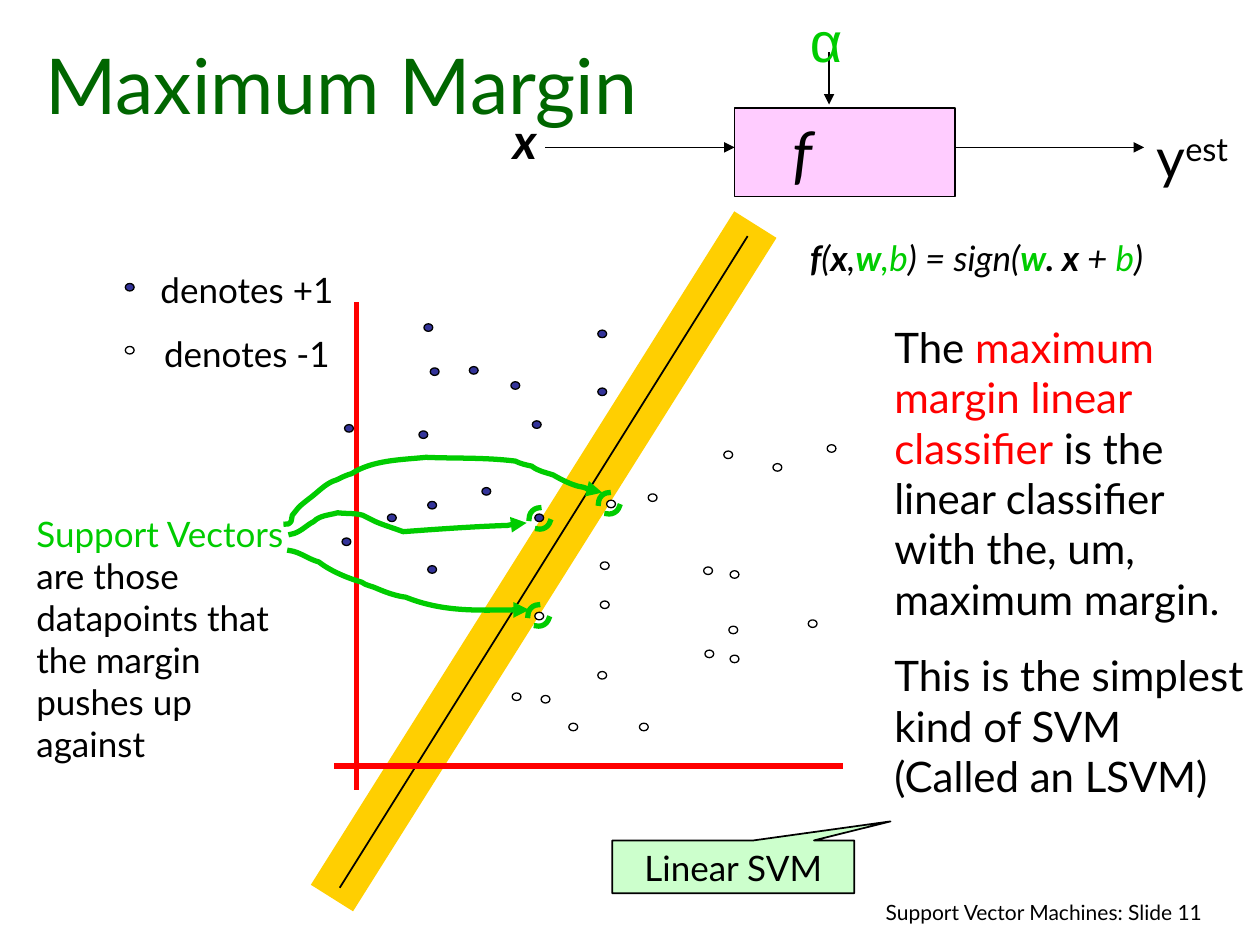
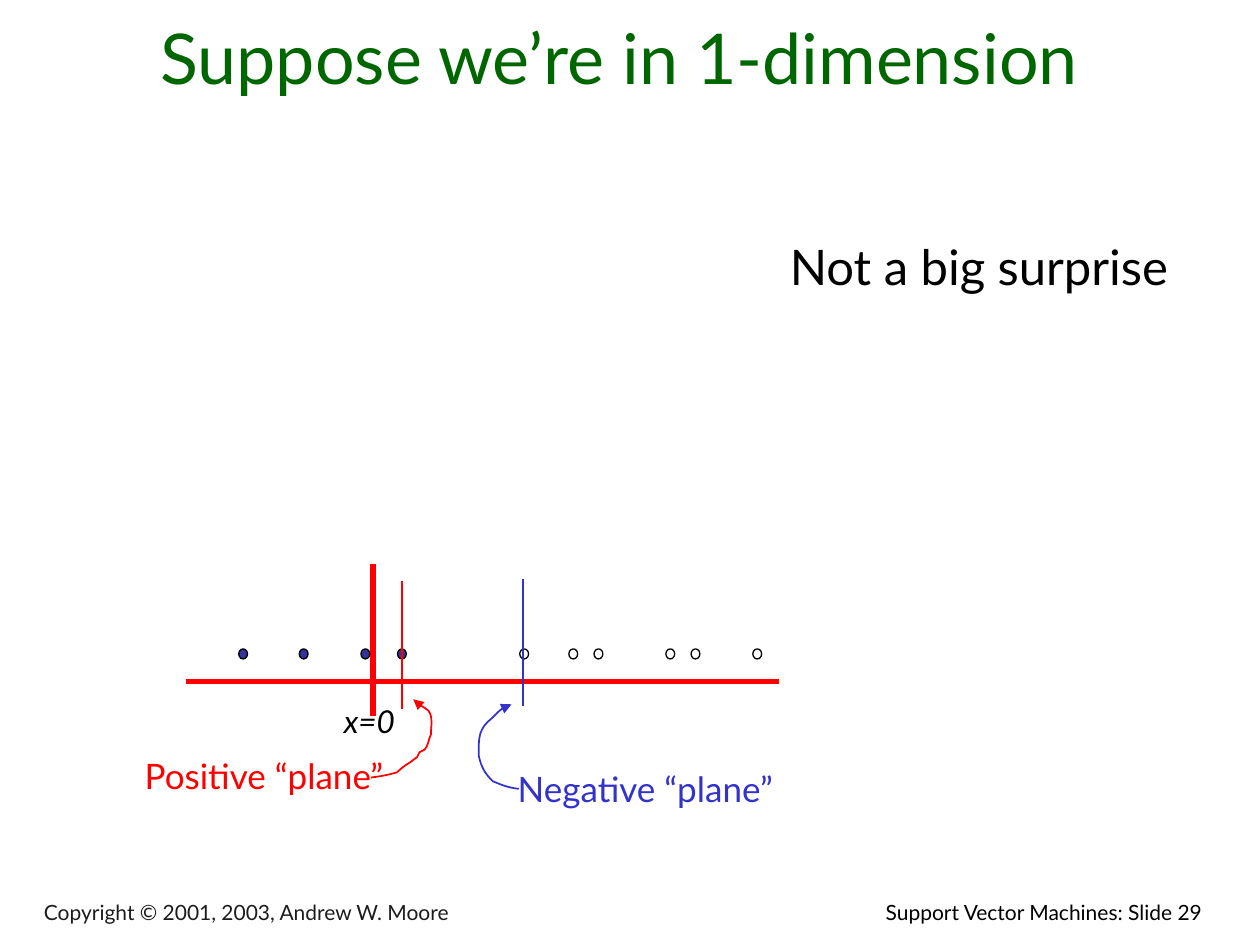
from lxml import etree
from pptx import Presentation
from pptx import util as u
from pptx.dml.color import RGBColor
from pptx.enum import dml, shapes, text
from pptx.oxml.ns import qn

PX = 9144  # EMU per px: the slide is 1000 x 750 px
FONT = "Lato"
BLACK, WHITE, RED, GREEN = "000000", "FFFFFF", "FF0000", "00CC00"
TITLE, NAVY, BLUE, GOLD = "006600", "333399", "3333CC", "FFCF01"
PINK, MINT, GREY = "FFCCFF", "CCFFCC", "1C1C1C"
LEFT, CENTER, RIGHT = text.PP_ALIGN.LEFT, text.PP_ALIGN.CENTER, text.PP_ALIGN.RIGHT
TOP, MIDDLE, BOTTOM = text.MSO_ANCHOR.TOP, text.MSO_ANCHOR.MIDDLE, text.MSO_ANCHOR.BOTTOM

POSITIVES = [(275, 430), (478, 311), (376, 294), (428, 411), (336, 345),
             (345, 295), (343, 401), (426, 337), (343, 452), (478, 265),
             (340, 260), (386, 390), (311, 411), (409, 306), (277, 340)]
NEGATIVES = [(410, 553), (485, 400), (562, 453), (428, 489), (660, 356),
             (582, 500), (518, 395), (645, 495), (455, 577), (583, 456),
             (480, 449), (617, 371), (578, 361), (563, 519), (511, 577),
             (478, 536), (480, 480), (433, 555), (583, 523)]
SUPPORT_VECTORS = [(475, 391), (420, 403), (419, 480)]
# Curves: a start point, then two control points and an end point per segment.
SUPPORT_ARROWS = [
    [(231, 424), (238, 423), (243, 417), (249, 414), (254, 409), (261, 409),
     (268, 407), (277, 408), (281, 407), (288, 409), (288, 409), (298, 414),
     (298, 414), (305, 417), (312, 419), (320, 422), (347, 420), (375, 418),
     (403, 417), (408, 416), (413, 415), (418, 415)],
    [(227, 416), (228, 416), (230, 416), (230, 415), (232, 414), (231, 411),
     (232, 409), (233, 407), (235, 406), (236, 404), (238, 401), (248, 394),
     (249, 393), (255, 388), (260, 383), (267, 381), (271, 379), (275, 377),
     (279, 376), (296, 365), (319, 365), (338, 363), (362, 364), (385, 363),
     (409, 366), (413, 368), (417, 369), (422, 370), (427, 374), (433, 375),
     (439, 377), (446, 381), (452, 384), (459, 386), (465, 387), (472, 391),
     (478, 391)],
    [(230, 437), (238, 438), (245, 444), (253, 446), (262, 453), (276, 459),
     (287, 462), (291, 465), (295, 465), (299, 467), (306, 470), (314, 473),
     (322, 474), (352, 486), (388, 484), (420, 484)],
]
POSITIVE_ARROW = [
    (295, 617), (303, 616), (308, 615), (315, 613), (322, 607), (318, 610),
    (327, 604), (328, 603), (331, 601), (331, 601), (332, 600), (332, 598),
    (333, 597), (334, 596), (336, 596), (337, 595), (340, 592), (340, 587),
    (342, 583), (342, 577), (344, 569), (340, 564), (338, 562), (332, 559),
    (332, 559), (329, 555), (331, 555), (328, 555)]
NEGATIVE_ARROW = [
    (411, 626), (403, 625), (398, 623), (391, 620), (385, 614), (382, 609),
    (380, 600), (380, 589), (379, 581), (387, 573), (391, 570), (397, 562),
    (403, 560), (404, 560), (406, 559), (406, 559)]


def px(*lengths):
    return [u.Emu(round(n * PX)) for n in lengths]


def rgb(code):
    return RGBColor.from_string(code)


def style_line(line, color, width, arrow=False):
    line.color.rgb = rgb(color)
    line.width = u.Pt(width)
    ln = line._get_or_add_ln()
    ln.set("cap", "sq")
    if arrow:
        etree.SubElement(ln, qn("a:tailEnd"), type="triangle")


def write(sp, paragraphs, size, color=BLACK, align=LEFT, anchor=TOP,
          insets=(10, 5, 10, 5), gap=0, italic=False, font=FONT):
    """Fill sp; a paragraph is a string or a list of (text, colour, bold) runs."""
    tf = sp.text_frame
    tf.word_wrap = True
    tf.vertical_anchor = anchor
    (tf.margin_left, tf.margin_top,
     tf.margin_right, tf.margin_bottom) = px(*insets)
    for i, runs in enumerate(paragraphs):
        p = tf.add_paragraph() if i else tf.paragraphs[0]
        p.alignment = align
        p.space_before = u.Pt(gap if i else 0)
        p.font.name, p.font.size = font, u.Pt(size)
        p.font.italic = italic
        p.font.color.rgb = rgb(color)
        if isinstance(runs, str):
            p.add_run().text = runs
            continue
        for words, run_color, bold in runs:
            r = p.add_run()
            r.text = words
            r.font.color.rgb = rgb(run_color)
            r.font.bold = bold


def label(s, box, paragraphs, size, **style):
    sp = s.shapes.add_textbox(*px(*box))
    write(sp, paragraphs, size, **style)
    return sp


def shape(s, kind, box, fill, line=BLACK, width=1):
    sp = s.shapes.add_shape(kind, *px(*box))
    sp.shadow.inherit = False
    if fill:
        sp.fill.solid()
        sp.fill.fore_color.rgb = rgb(fill)
    else:
        sp.fill.background()
    style_line(sp.line, line, width)
    return sp


def line(s, start, end, color=BLACK, width=1, arrow=False):
    cx = s.shapes.add_connector(shapes.MSO_CONNECTOR.STRAIGHT, *px(*start, *end))
    style_line(cx.line, color, width, arrow)
    etree.SubElement(cx._element.spPr, qn("a:effectLst"))


def curved_arrow(s, curve, color, width):
    """Draw a freeform through every third point, then bend its segments."""
    points = [px(*point) for point in curve]
    builder = s.shapes.build_freeform(*points[0])
    builder.add_line_segments(points[3::3], close=False)
    sp = builder.convert_to_shape()
    segments = list(sp._element.iter(qn("a:lnTo")))
    for i, segment in enumerate(segments):
        segment.clear()
        segment.tag = qn("a:cubicBezTo")
        for x, y in points[3 * i + 1:3 * i + 4]:
            etree.SubElement(segment, qn("a:pt"), x=str(x - sp.left),
                             y=str(y - sp.top))
    sp.shadow.inherit = False
    sp.fill.background()
    style_line(sp.line, color, width, arrow=True)


def dots(s, centers, fill, w=7, h=6):
    for x, y in centers:
        shape(s, shapes.MSO_SHAPE.OVAL, (x - w / 2, y - h / 2, w, h), fill,
              width=0.75)


def new_slide(prs, number, title, title_box, title_size):
    s = prs.slides.add_slide(prs.slide_layouts[6])
    label(s, (572, 709, 392, 33), [f"Support Vector Machines: Slide {number}"],
          12, align=RIGHT)
    label(s, title_box, [title], title_size, color=TITLE, align=CENTER,
          anchor=BOTTOM)
    return s


def classifier_diagram(s):
    box = shape(s, shapes.MSO_SHAPE.RECTANGLE, (583, 86, 175, 70), PINK)
    write(box, ["f"], 36, align=CENTER, anchor=MIDDLE, italic=True,
          insets=(10, 5, 77, 5))
    line(s, (433, 117), (583, 117), arrow=True)
    label(s, (383, 83, 67, 57), [[("x", BLACK, True)]], 28, align=CENTER,
          italic=True)
    line(s, (658, 42), (658, 83), arrow=True)
    label(s, (633, 0, 42, 64), ["α"], 32, color=GREEN, align=CENTER,
          font="Arial")
    line(s, (758, 117), (908, 117), arrow=True)
    output = label(s, (908, 92, 92, 64),
                   [[("y", BLACK, False), ("est", BLACK, False)]], 32)
    superscript = output.text_frame.paragraphs[0].runs[1]
    superscript._r.get_or_add_rPr().set("baseline", "30000")
    label(s, (600, 183, 350, 44), [[
        ("f", BLACK, True), ("(", BLACK, False), ("x", BLACK, True),
        (",", BLACK, False), ("w", GREEN, True), (",b", GREEN, False),
        (") = sign(", BLACK, False), ("w", GREEN, True), (". x ", BLACK, True),
        ("+ ", BLACK, False), ("b", GREEN, False), (")", BLACK, False),
    ]], 20, align=CENTER, italic=True)


def maximum_margin(prs):
    s = new_slide(prs, 11, "Maximum Margin", (17, 33, 508, 75), 44)
    line(s, (274, 696), (589, 195), GOLD, 28.5)
    line(s, (270, 704), (593, 188))
    classifier_diagram(s)

    label(s, (92, 208, 208, 94), ["denotes +1", "denotes -1"], 20,
          align=CENTER, gap=12.5)
    line(s, (283, 242), (283, 625), RED, 3)
    line(s, (267, 608), (667, 608), RED, 3)
    dots(s, [(103, 228), *POSITIVES], NAVY)
    dots(s, [(103, 278), *NEGATIVES], WHITE)

    label(s, (700, 250, 300, 471), [
        [("The ", BLACK, False),
         ("maximum margin linear classifier", RED, False),
         (" is the linear classifier with the, um, maximum margin.",
          BLACK, False)],
        "This is the simplest kind of SVM (Called an LSVM)"], 24, gap=15)
    label(s, (19, 402, 232, 210), [
        [("Support Vectors ", GREEN, False),
         ("are those datapoints that the margin pushes up against",
          BLACK, False)]], 20)
    for curve in SUPPORT_ARROWS:
        curved_arrow(s, curve, GREEN, 3)
    for x, y in SUPPORT_VECTORS:
        ring = shape(s, shapes.MSO_SHAPE.OVAL, (x, y, 17, 17), None, GREEN, 3)
        ring.line.dash_style = dml.MSO_LINE.DASH

    callout = shape(s, shapes.MSO_SHAPE.RECTANGULAR_CALLOUT,
                    (486, 667, 192, 42), MINT)
    callout.adjustments[0], callout.adjustments[1] = 0.65, -0.86
    write(callout, ["Linear SVM"], 20, align=CENTER)


def one_dimension(prs):
    s = new_slide(prs, 29, "Suppose we’re in 1-dimension",
                  (25, 8, 933, 75), 40)
    label(s, (25, 711, 555, 28), ["Copyright © 2001, 2003, Andrew W. Moore"],
          12, color=GREY, anchor=BOTTOM)
    line(s, (296, 450), (296, 566), RED, 3)
    line(s, (150, 541), (616, 541), RED, 3)
    dots(s, [(x, 519) for x in (193, 241, 290, 319)], NAVY, 7, 8)
    dots(s, [(x, 519) for x in (416, 455, 475, 532, 552, 601)], WHITE, 7, 8)
    label(s, (617, 183, 325, 104), ["Not a big surprise"], 28)

    line(s, (319, 562), (319, 462), RED)
    line(s, (415, 560), (415, 460), BLUE)
    label(s, (105, 594, 244, 44), ["Positive “plane”"], 20, color=RED)
    curved_arrow(s, POSITIVE_ARROW, RED, 1)
    label(s, (401, 604, 244, 44), ["Negative “plane”"], 20, color=BLUE)
    curved_arrow(s, NEGATIVE_ARROW, BLUE, 1)
    label(s, (263, 552, 99, 40), ["x=0"], 18, italic=True)


def main():
    prs = Presentation()
    prs.slide_width, prs.slide_height = px(1000, 750)
    maximum_margin(prs)
    one_dimension(prs)
    prs.save("out.pptx")


if __name__ == "__main__":
    main()
